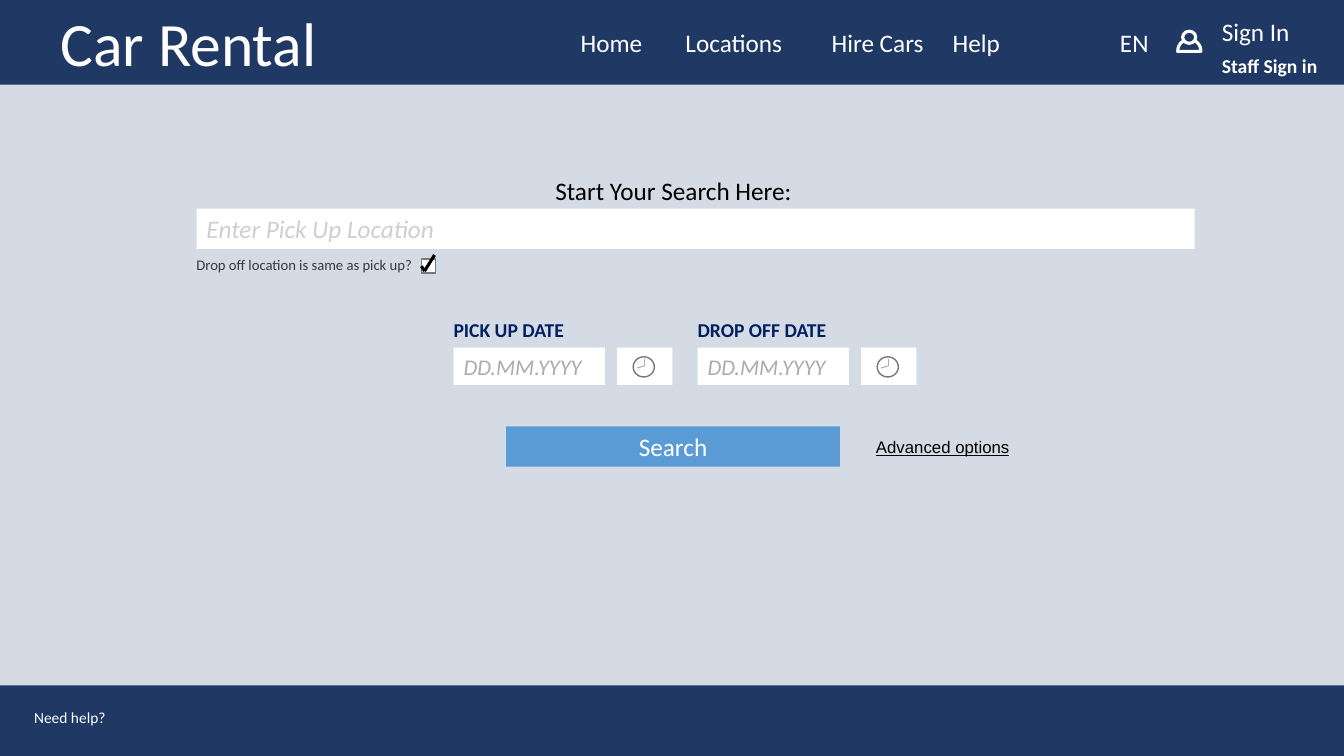
from itertools import pairwise

from pptx import Presentation
from pptx.dml.color import RGBColor
from pptx.enum.shapes import MSO_CONNECTOR, MSO_SHAPE
from pptx.enum.text import MSO_ANCHOR as ANCHOR, PP_ALIGN as ALIGN
from pptx.oxml import parse_xml
from pptx.oxml.ns import nsdecls
from pptx.util import Emu, Pt

PX = 9144  # EMU in one px: 100 px to the inch
WIDTH, HEIGHT = 1333, 750

NAVY = RGBColor(0x1F, 0x38, 0x64)
DEEP_BLUE = RGBColor(0x00, 0x20, 0x60)
BUTTON_BLUE = RGBColor(0x5B, 0x9B, 0xD5)
PALE = RGBColor(0xD5, 0xDB, 0xE5)
WHITE = RGBColor(0xFF, 0xFF, 0xFF)
BLACK = RGBColor(0, 0, 0)
CHARCOAL = RGBColor(0x3A, 0x38, 0x38)
OUTLINE = RGBColor(0x78, 0x78, 0x78)
HINT = RGBColor(0xAE, 0xAB, 0xAB)
LIGHT_HINT = RGBColor(0xD0, 0xCE, 0xCE)


def px(*lengths):
    return [Emu(n * PX) for n in lengths]


def write(sp, text, size=18, color=WHITE, font="Calibri", bold=False,
          italic=False, underline=False, align=ALIGN.LEFT, anchor=ANCHOR.TOP):
    tf = sp.text_frame
    tf.word_wrap = True
    tf.vertical_anchor = anchor
    p = tf.paragraphs[0]
    p.alignment = align
    r = p.add_run()
    r.text = text
    f = r.font
    f.name, f.size, f.color.rgb = font, Pt(size), color
    f.bold, f.italic, f.underline = bold, italic, underline


def add_label(slide, box, text, **fmt):
    write(slide.shapes.add_textbox(*px(*box)), text, **fmt)


def add_block(slide, box, fill, kind=MSO_SHAPE.RECTANGLE, line=None, weight=1):
    sp = slide.shapes.add_shape(kind, *px(*box))
    sp.shadow.inherit = False
    sp.fill.solid()
    sp.fill.fore_color.rgb = fill
    if line is None:
        sp.line.fill.background()
    else:
        sp.line.color.rgb = line
        sp.line.width = Pt(weight)
    return sp


def add_strokes(slide, points, color, weight):
    """Join successive points with straight lines."""
    for start, end in pairwise(points):
        c = slide.shapes.add_connector(MSO_CONNECTOR.STRAIGHT, *px(*start, *end))
        c.line.color.rgb = color
        c.line.width = Pt(weight)
        c._element.spPr.append(parse_xml(f"<a:effectLst {nsdecls('a')}/>"))


def add_user_icon(slide, x, y):
    body = add_block(slide, (x, y + 8, 23, 23), NAVY, MSO_SHAPE.CHORD, WHITE, 2.25)
    body.adjustments[0], body.adjustments[1] = 27, 138.07
    body.rotation = 132.5
    add_block(slide, (x + 5, y, 13, 12), NAVY, MSO_SHAPE.OVAL, WHITE, 2.25)


def add_header(slide, x, y, w, h):
    add_block(slide, (x, y, w, h), NAVY)
    add_label(slide, (x + 50, y, 400, h), "Car Rental", size=44, anchor=ANCHOR.MIDDLE)
    menu = {"Home": 566, "Locations": 670, "Hire Cars": 815, "Help": 935, "EN": 1101}
    for text, left in menu.items():
        add_label(slide, (x + left, y + 22, 122, 40), text)
    add_user_icon(slide, x + 1168, y + 31)
    add_label(slide, (x + 1202, y + 11, 120, 40), "Sign In")
    add_label(slide, (x + 1202, y + 49, 125, 34), "Staff Sign in", size=14, bold=True)


def add_location_search(slide, x, y, w):
    add_label(slide, (x + 95, y, 756, 40), "Start Your Search Here:",
              color=BLACK, align=ALIGN.CENTER)
    field = add_block(slide, (x, y + 38, w, 40), WHITE)
    write(field, "Enter Pick Up Location", color=LIGHT_HINT, italic=True,
          anchor=ANCHOR.MIDDLE)
    add_label(slide, (x - 10, y + 80, 408, 29), "Drop off location is same as pick up?",
              size=10.5, color=CHARCOAL)
    left, top = x + 223, y + 88
    add_block(slide, (left, top, 14, 14), WHITE, line=OUTLINE)
    add_strokes(slide, [(left, top + 7), (left + 3, top + 12), (left + 13, top - 4)],
                BLACK, 2.25)


def add_date_picker(slide, x, y, title):
    add_label(slide, (x - 10, y, 240, 34), title, size=14, color=DEEP_BLUE, bold=True)
    top, h = y + 34, 37
    field = add_block(slide, (x, top, 150, h), WHITE)
    write(field, "DD.MM.YYYY", size=16, color=HINT, italic=True, anchor=ANCHOR.MIDDLE)
    add_block(slide, (x + 162, top, 55, h), WHITE)
    add_block(slide, (x + 178, top + 9, 21, 20), WHITE, MSO_SHAPE.OVAL, OUTLINE)
    add_strokes(slide, [(x + 189, top + 11), (x + 189, top + 18), (x + 182, top + 20)],
                HINT, 0.75)


def add_actions(slide, x, y, w, h):
    button = add_block(slide, (x, y, w, h), BUTTON_BLUE)
    write(button, "Search", align=ALIGN.CENTER, anchor=ANCHOR.MIDDLE)
    add_label(slide, (x + w + 26, y + 5, 200, 30), "Advanced options",
              size=12, color=BLACK, font="Arial", underline=True)


def add_footer(slide, x, y, w, h):
    add_block(slide, (x, y, w, h), NAVY)
    add_label(slide, (x + 24, y + 18, 150, 29), "Need help?", size=11)


def main():
    prs = Presentation()
    prs.slide_width, prs.slide_height = px(WIDTH, HEIGHT)
    slide = prs.slides.add_slide(prs.slide_layouts[6])
    background = slide.background.fill
    background.solid()
    background.fore_color.rgb = PALE

    add_header(slide, 0, 0, WIDTH, 84)
    add_location_search(slide, 195, 169, 990)
    for i, title in enumerate(("PICK UP DATE", "DROP OFF DATE")):
        add_date_picker(slide, 450 + 242 * i, 311, title)
    add_actions(slide, 502, 423, 331, 40)
    add_footer(slide, 0, 680, WIDTH, 70)
    prs.save("out.pptx")


if __name__ == "__main__":
    main()
